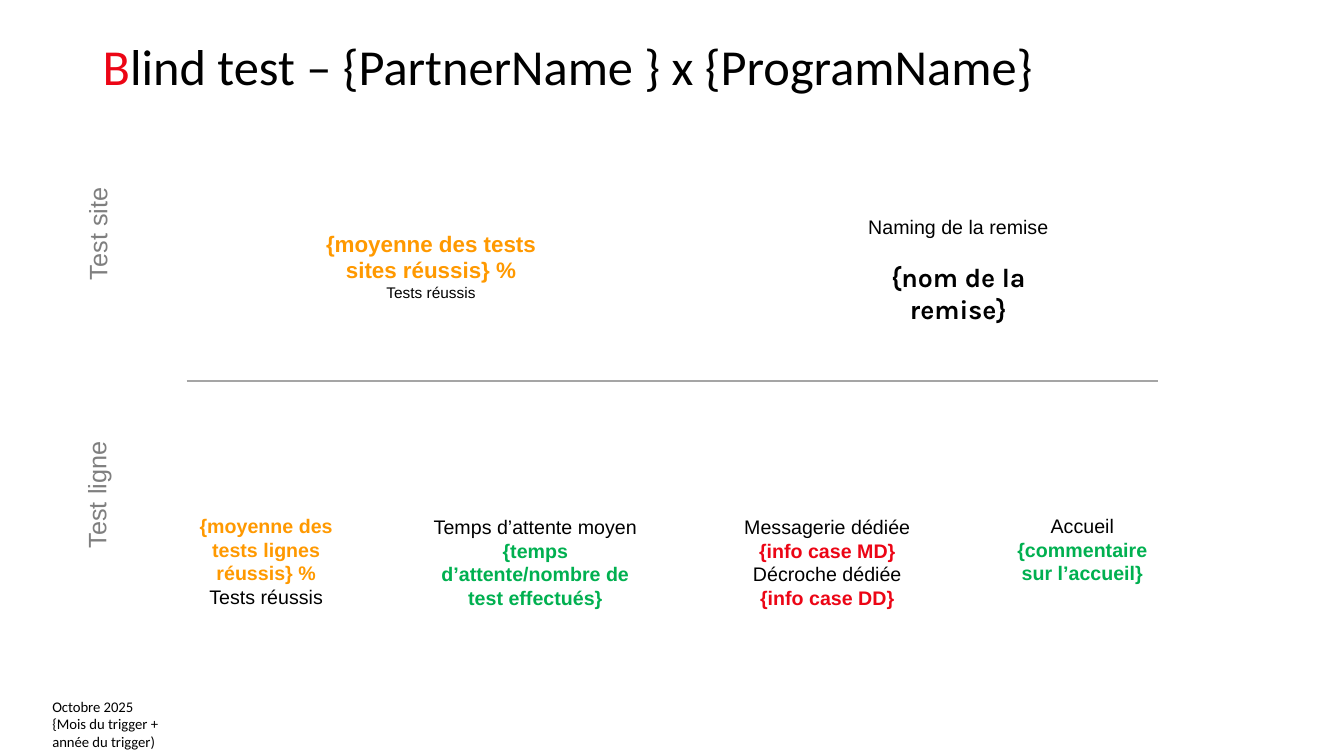
import dataclasses
import pptx
import pptx.dml.color
import pptx.enum.shapes
import pptx.enum.text
import pptx.util
from lxml import etree

Inches = pptx.util.Inches
Pt = pptx.util.Pt
ALIGN = pptx.enum.text.PP_ALIGN

BLACK, WHITE, GREY, SILVER = "000000", "FFFFFF", "7F7F7F", "A5A5A5"
ORANGE, GREEN, RED = "FF9900", "00B050", "EC0515"


@dataclasses.dataclass
class Line:
    text: str
    color: str = BLACK
    size: float = 14
    bold: bool = False
    font: str = "Arial"
    gap: float = 0


@dataclasses.dataclass
class Box:
    left: float
    top: float
    width: float
    height: float
    lines: list[Line]
    turn: int = 0
    align: ALIGN = ALIGN.CENTER


@dataclasses.dataclass
class Rule:
    left: float
    right: float
    top: float
    color: str
    width: float


def paint(target, color: str) -> None:
    target.color.rgb = pptx.dml.color.RGBColor.from_string(color)


def value(text: str, color: str, size: float = 14) -> Line:
    """Bold coloured result."""
    return Line(text, color, size, True)


def side(left: float, top: float, text: str) -> Box:
    """Row label reading upwards."""
    return Box(left, top, 1.61, 0.4, [Line(text, GREY, 18)], 270)


def frame(slide, left: float, top: float, width: float, height: float):
    shape = slide.shapes.add_textbox(
        Inches(left), Inches(top), Inches(width), Inches(height))
    shape.text_frame.word_wrap = True
    return shape


def draw(slide, box: Box) -> None:
    shape = frame(slide, box.left, box.top, box.width, box.height)
    shape.rotation = box.turn
    body = shape.text_frame
    body.auto_size = pptx.enum.text.MSO_AUTO_SIZE.SHAPE_TO_FIT_TEXT
    for i, line in enumerate(box.lines):
        para = body.add_paragraph() if i else body.paragraphs[0]
        para.text = line.text
        para.alignment = box.align
        if line.gap:
            para.space_before = Pt(line.gap)
        para.font.name = line.font
        para.font.size = Pt(line.size)
        para.font.bold = line.bold
        paint(para.font, line.color)


def title(slide) -> None:
    body = frame(slide, 0.92, 0.26, 11.5, 0.86).text_frame
    body.vertical_anchor = pptx.enum.text.MSO_ANCHOR.MIDDLE
    para = body.paragraphs[0]
    para.line_spacing = 0.9
    para.font.name = "Calibri"
    para.font.size = Pt(36)
    for text, color in (("B", RED),
                        ("lind test – {PartnerName } x {ProgramName}", BLACK)):
        run = para.add_run()
        run.text = text
        paint(run.font, color)


def divide(slide, rule: Rule) -> None:
    shape = slide.shapes.add_connector(
        pptx.enum.shapes.MSO_CONNECTOR.STRAIGHT,
        Inches(rule.left), Inches(rule.top),
        Inches(rule.right), Inches(rule.top))
    shape.line.width = Pt(rule.width)
    paint(shape.line, rule.color)
    etree.SubElement(shape.element.spPr, pptx.oxml.ns.qn("a:effectLst"))


RULES = [
    Rule(0.9, 12.62, 1.11, WHITE, 1),
    Rule(1.85, 11.49, 3.78, SILVER, 1.5),
]

BOXES = [
    side(0.16, 2.12, "Test site"),
    Box(3.09, 2.23, 2.37, 0.82, [
        value("{moyenne des tests sites réussis} %", ORANGE, 16),
        Line("Tests réussis", size=11)]),
    Box(8.38, 2.08, 2.25, 1.21, [
        Line("Naming de la remise"),
        Line("{nom de la remise}", BLACK, 19, True, "Karla", 16.5)]),
    side(0.15, 4.71, "Test ligne"),
    Box(1.85, 5.05, 1.58, 1.04, [
        value("{moyenne des tests lignes réussis} %", ORANGE),
        Line("Tests réussis")]),
    Box(4.17, 5.06, 2.28, 1.04, [
        Line("Temps d’attente moyen"),
        value("{temps d’attente/nombre de test effectués}", GREEN)]),
    Box(7.25, 5.06, 1.91, 1.04, [
        Line("Messagerie dédiée"),
        value("{info case MD}", RED),
        Line("Décroche dédiée"),
        value("{info case DD}", RED)]),
    Box(9.96, 5.05, 1.55, 0.81, [
        Line("Accueil"),
        value("{commentaire sur l’accueil}", GREEN)]),
    Box(0.42, 6.87, 1.49, 0.63, [
        Line("Octobre 2025\n{Mois du trigger + année du trigger)",
             size=10.5, font="Calibri")], align=ALIGN.LEFT),
]


def main() -> None:
    deck = pptx.Presentation()
    deck.slide_width, deck.slide_height = Inches(13.33), Inches(7.5)
    slide = deck.slides.add_slide(deck.slide_layouts[6])
    for rule in RULES:
        divide(slide, rule)
    title(slide)
    for box in BOXES:
        draw(slide, box)
    deck.save("out.pptx")


if __name__ == "__main__":
    main()
